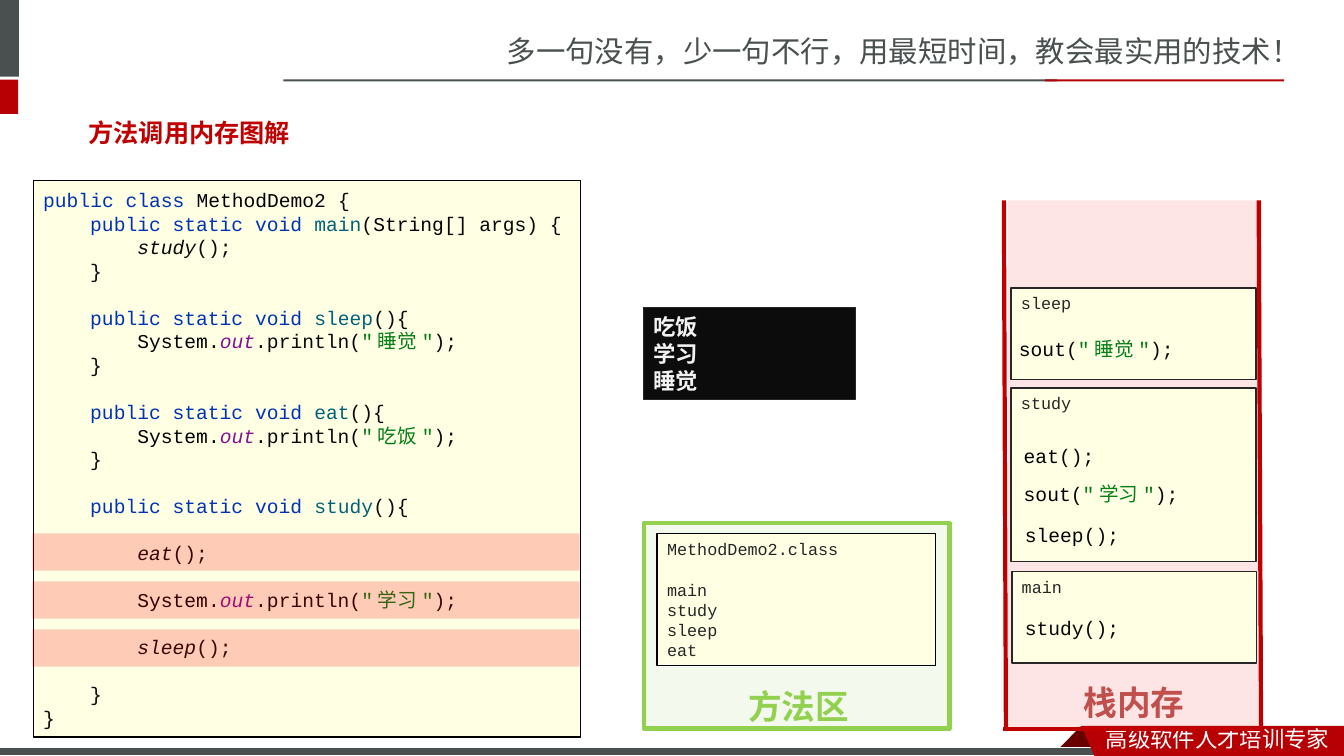
from collections import namedtuple

from lxml import etree
from pptx import Presentation
from pptx.dml.color import RGBColor
from pptx.enum.shapes import MSO_CONNECTOR, MSO_SHAPE
from pptx.enum.text import MSO_ANCHOR, PP_ALIGN
from pptx.oxml.ns import qn
from pptx.util import Cm, Pt

RECTANGLE = MSO_SHAPE.RECTANGLE
STRAIGHT = MSO_CONNECTOR.STRAIGHT
TOP, MIDDLE = MSO_ANCHOR.TOP, MSO_ANCHOR.MIDDLE
LEFT, CENTER = PP_ALIGN.LEFT, PP_ALIGN.CENTER

MONO, SANS, SANS_BOLD = "Courier New", "Noto Sans CJK SC", "Noto Sans CJK JP"
WHITE = RGBColor(0xFF, 0xFF, 0xFF)
BLACK = RGBColor(0, 0, 0)
SLATE = RGBColor(0x49, 0x50, 0x4F)
CRIMSON = RGBColor(0xB6, 0x00, 0x04)
MAROON = RGBColor(0x68, 0x00, 0x00)
RED = RGBColor(0xC0, 0x00, 0x00)
BRIGHT_RED = RGBColor(0xFD, 0x00, 0x00)
BRICK = RGBColor(0xC0, 0x50, 0x4D)
GREEN = RGBColor(0x92, 0xD0, 0x50)
CREAM = RGBColor(0xFF, 0xFF, 0xE4)
CHARCOAL = RGBColor(0x26, 0x26, 0x26)
CONSOLE = RGBColor(0x0C, 0x0C, 0x0C)
PALE = RGBColor(0xF2, 0xF2, 0xF2)
INK = RGBColor(0x08, 0x08, 0x08)
KEYWORD = RGBColor(0x00, 0x33, 0xB3)
METHOD = RGBColor(0x00, 0x62, 0x7A)
FIELD = RGBColor(0x87, 0x10, 0x94)
STRING = RGBColor(0x06, 0x7D, 0x17)

Box = namedtuple("Box", "left top width height")
Run = namedtuple("Run", "text color italic", defaults=(INK, False))
Line = namedtuple("Line", "runs level gap", defaults=(0, 0))


def inside(box, left, top, width, height):
    return Box(box.left + left, box.top + top, width, height)


def write(frame, lines, font=MONO, size=14, color=INK, bold=False,
          align=LEFT, anchor=TOP, spacing=None, wrap=True):
    frame.word_wrap = wrap
    frame.vertical_anchor = anchor
    for index, line in enumerate(lines):
        if isinstance(line, str):
            line = Line([Run(line, color)])
        paragraph = frame.paragraphs[0] if index == 0 else frame.add_paragraph()
        paragraph.alignment = align
        if spacing:
            paragraph.line_spacing = spacing
        if line.gap:
            paragraph.space_before = Pt(line.gap)
        if line.level:
            paragraph._p.get_or_add_pPr().set("marL", str(Pt(line.level * 4 * 0.6 * size)))
        for part in line.runs:
            run = paragraph.add_run()
            run.text = part.text
            run.font.name, run.font.size = font, Pt(size)
            run.font.bold, run.font.italic = bold, part.italic
            run.font.color.rgb = part.color
            east_asian = etree.SubElement(run._r.get_or_add_rPr(), qn("a:ea"))
            east_asian.set("typeface", SANS if font == MONO else font)


def add_text(slide, box, lines, **style):
    frame = slide.shapes.add_textbox(*map(Cm, box)).text_frame
    write(frame, lines, **style)


def paint(shape, fill, border=None, weight=1, alpha=None):
    shape.shadow.inherit = False
    shape.fill.solid()
    shape.fill.fore_color.rgb = fill
    if alpha:
        tint = shape._element.spPr.find(qn("a:solidFill"))[0]
        etree.SubElement(tint, qn("a:alpha")).set("val", str(alpha * 1000))
    if border is None:
        shape.line.fill.background()
    else:
        shape.line.color.rgb = border
        shape.line.width = Pt(weight)


def add_panel(slide, box, fill, lines=(), border=None, weight=1, alpha=None, **style):
    panel = slide.shapes.add_shape(RECTANGLE, *map(Cm, box))
    paint(panel, fill, border, weight, alpha)
    if lines:
        write(panel.text_frame, lines, **style)


def add_outline(slide, box, points, fill):
    corners = [(Cm(box.left + x), Cm(box.top + y)) for x, y in points]
    builder = slide.shapes.build_freeform(*corners[0])
    builder.add_line_segments(corners[1:], close=True)
    paint(builder.convert_to_shape(), fill)


def add_wall(slide, box, start, end):
    ends = [Cm(box.left + start[0]), Cm(box.top + start[1]),
            Cm(box.left + end[0]), Cm(box.top + end[1])]
    wall = slide.shapes.add_connector(STRAIGHT, *ends)
    wall.line.color.rgb, wall.line.width = RED, Pt(3)
    etree.SubElement(wall._element.spPr, qn("a:effectLst"))


def draw_header(slide, box):
    add_text(slide, inside(box, 12.52, 0.71, 21.35, 1.19),
             ["多一句没有，少一句不行，用最短时间，教会最实用的技术！"],
             font=SANS, size=21, color=SLATE, wrap=False)
    for bar, color in (((0, 0, 0.48, 1.93), SLATE), ((0, 2.01, 0.46, 0.86), CRIMSON),
                       ((7.14, 2, 19.5, 0.05), SLATE), ((26.34, 2, 6.02, 0.05), CRIMSON)):
        add_panel(slide, inside(box, *bar), color)


def draw_footer(slide, box):
    add_outline(slide, box, [(27.25, 0), (27.81, 0.56), (27.78, 0.58),
                             (26.72, 0.58), (26.7, 0.56)], MAROON)
    add_panel(slide, inside(box, 0, 0.54, 27.92, 0.22), SLATE, border=WHITE, weight=0.75)
    add_outline(slide, box, [(27.25, 0), (box.width, 0), (box.width, box.height),
                             (27.58, box.height)], CRIMSON)
    add_text(slide, inside(box, 27.62, -0.13, 6.22, 0.89), ["高级软件人才培训专家"],
             font=SANS, size=16, color=WHITE, wrap=False)


def method_head(name):
    return [Run("public static void ", KEYWORD), Run(name, METHOD)]


def call(name):
    return [Run(name, INK, True), Run("();")]


def print_call(word):
    return [Run("System", BLACK), Run("."), Run("out", FIELD, True),
            Run(".println("), Run(f'"{word}"', STRING), Run(");")]


def draw_code(slide, box):
    pitch = 16.8
    lines = [Line([Run("public class ", KEYWORD), Run("MethodDemo2 ", BLACK), Run("{")]),
             Line(method_head("main") + [Run("("), Run("String", BLACK),
                                         Run("[] args) {")], 1),
             Line(call("study"), 2), Line([Run("}")], 1)]
    for name, word in (("sleep", "睡觉"), ("eat", "吃饭")):
        lines += [Line(method_head(name) + [Run("(){")], 1, pitch),
                  Line(print_call(word), 2), Line([Run("}")], 1)]
    lines.append(Line(method_head("study") + [Run("(){")], 1, pitch))
    steps = [call("eat"), print_call("学习"), call("sleep")]
    lines += [Line(step, 2, pitch) for step in steps]
    lines += [Line([Run("}")], 1, pitch), Line([Run("}")])]
    add_panel(slide, box, CREAM, lines, border=BLACK, anchor=MIDDLE, spacing=Pt(pitch))
    for index in range(len(steps)):
        add_panel(slide, inside(box, -0.02, 8.89 + 1.21 * index, box.width, 0.94),
                  BRIGHT_RED, alpha=20)


def draw_console(slide, box):
    add_panel(slide, box, CONSOLE, ["吃饭", "学习", "睡觉"], border=CHARCOAL, weight=0.75,
              font=SANS_BOLD, size=16, color=PALE, bold=True, anchor=MIDDLE)


def draw_method_area(slide, box):
    add_panel(slide, box, GREEN, border=GREEN, weight=3, alpha=10)
    add_text(slide, inside(box, 0, 3.48, box.width + 0.1, 1.63), ["方法区"], font=SANS,
             size=24, color=GREEN, bold=True, align=CENTER, spacing=1.5)
    pitch = 14.5
    members = ["MethodDemo2.class", Line([Run("main", CHARCOAL)], 0, pitch),
               "study", "sleep", "eat"]
    add_panel(slide, inside(box, 0.33, 0.26, 7.01, 3.33), CREAM, members, border=BLACK,
              size=12, color=CHARCOAL, anchor=MIDDLE, spacing=Pt(pitch))


def draw_frame(slide, box, name, calls):
    add_panel(slide, box, CREAM, [name], border=CHARCOAL, size=12, color=CHARCOAL)
    for left, top, runs in calls:
        add_text(slide, inside(box, left, top, 5.95, 0.86), [Line(runs)])


def sout(word):
    return [Run("sout", BLACK), Run("("), Run(f'"{word}"', STRING), Run(");")]


def draw_stack(slide, box):
    add_panel(slide, box, BRIGHT_RED, alpha=10)
    add_text(slide, inside(box, 1.45, 11.51, 3.45, 1.63), ["栈内存"], font=SANS, size=24,
             color=BRICK, bold=True, align=CENTER, spacing=1.5)
    floor = box.height - 0.03
    for start, end in (((-0.1, 0), (-0.05, floor)), ((6.32, 0), (6.38, floor)),
                       ((6.43, floor), (-0.13, floor))):
        add_wall(slide, box, start, end)
    draw_frame(slide, inside(box, 0.1, 9.35, 6.17, 2.31), "main",
               [(0.08, 0.99, [Run("study();")])])
    draw_frame(slide, inside(box, 0.08, 4.73, 6.17, 4.37), "study",
               [(0.07, 1.27, [Run("eat", BLACK), Run("();")]),
                (0.07, 2.23, sout("学习")),
                (0.1, 3.28, [Run("sleep", BLACK), Run("();")])])
    draw_frame(slide, inside(box, 0.08, 2.21, 6.17, 2.31), "sleep",
               [(-0.05, 1.1, sout("睡觉"))])


def main():
    deck = Presentation()
    deck.slide_width, deck.slide_height = Cm(33.87), Cm(19.05)
    slide = deck.slides.add_slide(deck.slide_layouts[6])
    draw_header(slide, Box(0, 0, 33.87, 2.9))
    draw_footer(slide, Box(0, 18.29, 33.87, 0.76))
    draw_code(slide, Box(0.84, 4.55, 13.79, 14.02))
    draw_stack(slide, Box(25.4, 5.05, 6.4, 13.34))
    draw_method_area(slide, Box(16.23, 13.18, 7.7, 5.18))
    draw_console(slide, Box(16.21, 7.75, 5.36, 2.31))
    add_text(slide, Box(1.98, 2.62, 29.87, 1.45), ["方法调用内存图解"], font=SANS_BOLD,
             size=18, color=RED, bold=True, anchor=MIDDLE)
    deck.save("out.pptx")


if __name__ == "__main__":
    main()
